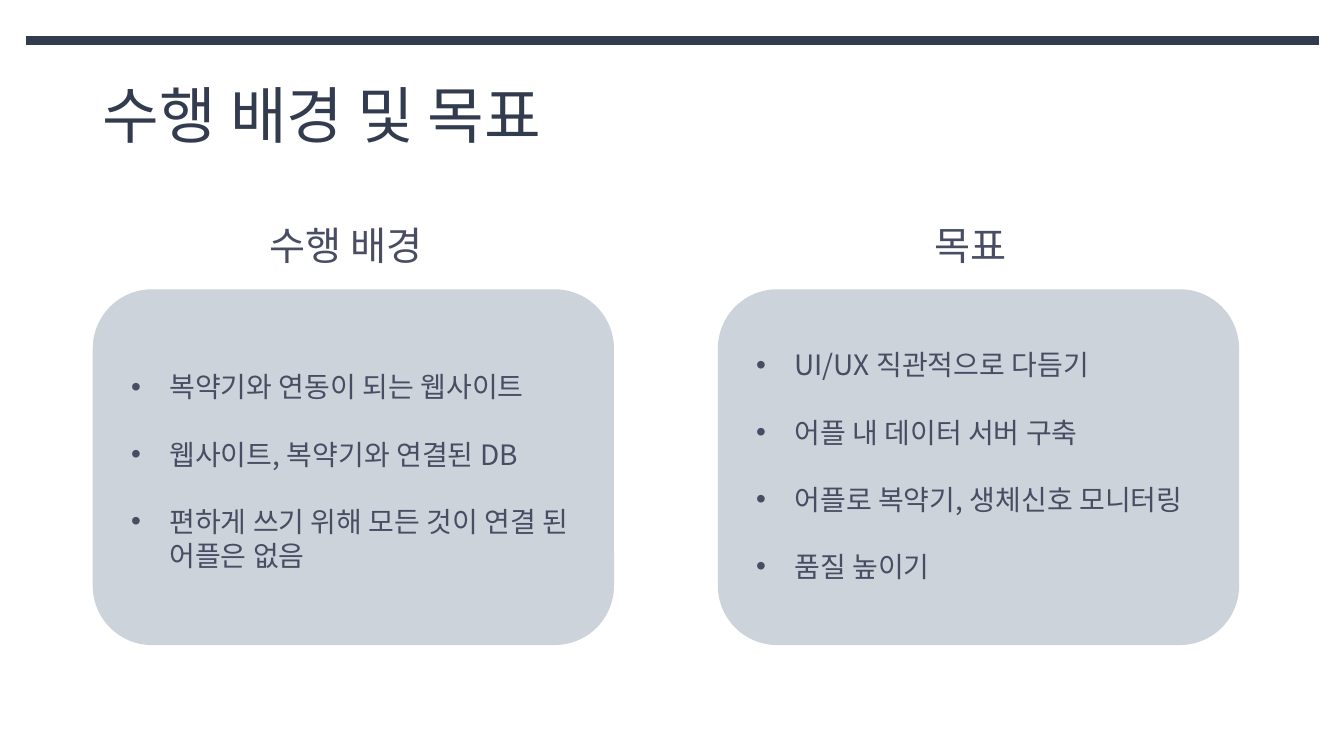
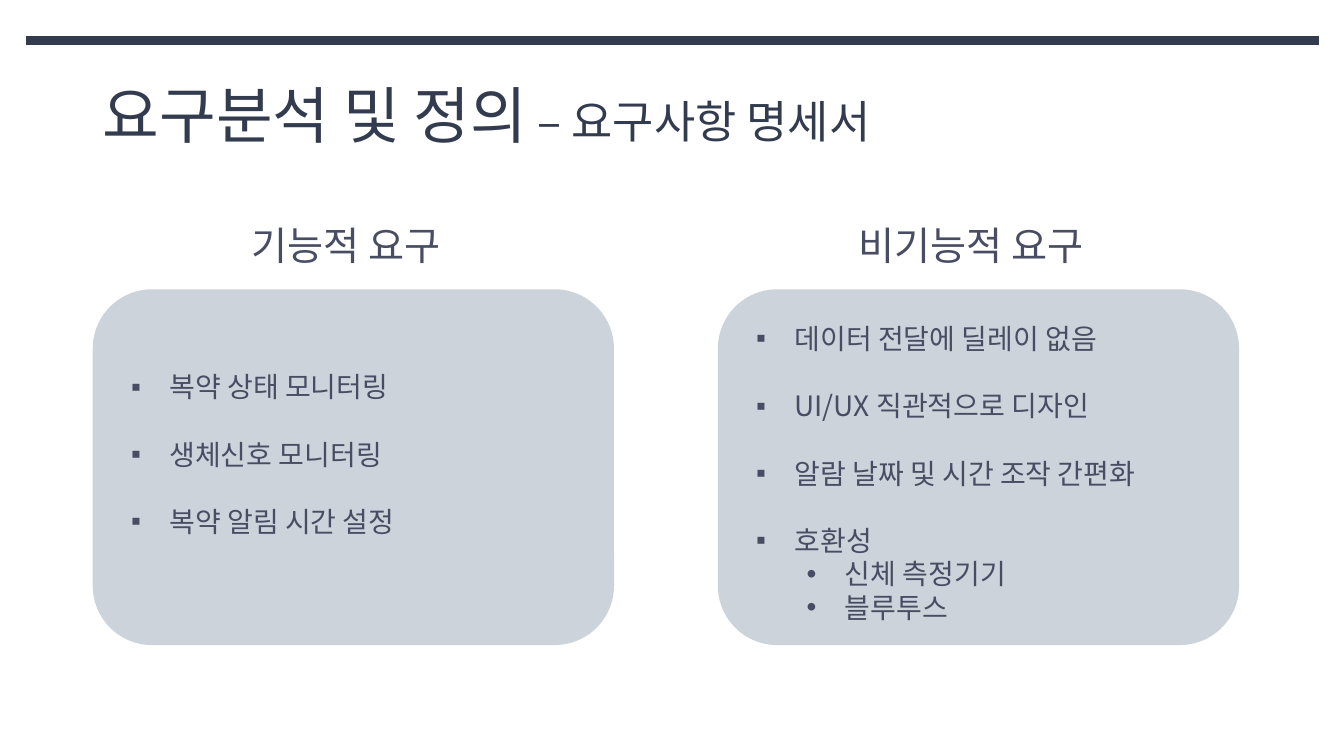
from dataclasses import dataclass

from lxml.etree import SubElement
from pptx import Presentation
from pptx.dml.color import RGBColor
from pptx.enum.shapes import MSO_CONNECTOR, MSO_SHAPE
from pptx.enum.text import MSO_ANCHOR, MSO_AUTO_SIZE, PP_ALIGN
from pptx.oxml.ns import qn
from pptx.util import Inches, Pt


@dataclass(frozen=True)
class Theme:
    """Colours, typeface and type sizes shared by every slide."""

    font: str = "Noto Sans CJK KR"
    dark: RGBColor = RGBColor(0x33, 0x3C, 0x4F)
    text: RGBColor = RGBColor(0x48, 0x4D, 0x64)
    card: RGBColor = RGBColor(0xCC, 0xD3, 0xDA)
    title: int = 44
    subtitle: int = 32
    heading: int = 28
    item: int = 20
    heading_line: int = 34
    item_line: int = 24
    bar: int = 6


@dataclass(frozen=True)
class Box:
    """A rectangle in inches."""

    left: float
    top: float
    width: float
    height: float

    def lengths(self):
        """Return the four values as slide lengths."""
        return [Inches(value) for value in (self.left, self.top, self.width, self.height)]


@dataclass(frozen=True)
class Column:
    """A heading and the list on the card below it."""

    heading: str
    items: tuple
    bullet: str
    list_top: float
    list_height: float
    subitems: tuple = ()


THEME = Theme()
TITLE_BOX = Box(0.92, 0.45, 11.5, 1.45)
COLUMN_BOXES = [Box(0.92 + 6.2 * index, 2.14, 5.17, 4.26) for index in range(2)]
COMPARISON_LAYOUT = 4

PAGES = [
    (
        [("수행 배경 및 목표", THEME.title)],
        [
            Column(
                "수행 배경",
                (
                    "복약기와 연동이 되는 웹사이트",
                    "웹사이트, 복약기와 연결된 DB",
                    "편하게 쓰기 위해 모든 것이 연결 된 어플은 없음",
                ),
                "•", 3.62, 2.46,
            ),
            Column(
                "목표",
                (
                    "UI/UX 직관적으로 다듬기",
                    "어플 내 데이터 서버 구축",
                    "어플로 복약기, 생체신호 모니터링",
                    "품질 높이기",
                ),
                "•", 3.4, 2.46,
            ),
        ],
    ),
    (
        [("요구분석 및 정의", THEME.title), (" – 요구사항 명세서", THEME.subtitle)],
        [
            Column(
                "기능적 요구",
                ("복약 상태 모니터링", "생체신호 모니터링", "복약 알림 시간 설정"),
                "▪", 3.62, 2.12,
            ),
            Column(
                "비기능적 요구",
                (
                    "데이터 전달에 딜레이 없음",
                    "UI/UX 직관적으로 디자인",
                    "알람 날짜 및 시간 조작 간편화",
                    "호환성",
                ),
                "▪", 3.14, 3.13,
                ("신체 측정기기", "블루투스"),
            ),
        ],
    ),
]


def add_span(para, text, size, color):
    """Add one formatted run to a paragraph."""
    span = para.add_run()
    span.text = text
    span.font.name = THEME.font
    SubElement(span.font._element, qn("a:ea"), typeface=THEME.font)
    span.font.size = Pt(size)
    span.font.bold = False
    span.font.color.rgb = color


def place(holder, box, anchor=MSO_ANCHOR.TOP):
    """Move a placeholder to a box and return its text frame."""
    holder.left, holder.top, holder.width, holder.height = box.lengths()
    frame = holder.text_frame
    frame.word_wrap = True
    frame.auto_size = MSO_AUTO_SIZE.NONE
    frame.vertical_anchor = anchor
    return frame


def add_bullet(para, mark, level):
    """Give a paragraph a hanging bullet at a list level."""
    para.level = level
    properties = para._p.get_or_add_pPr()
    properties.set("marL", str(Inches(0.38 + 0.5 * level)))
    properties.set("indent", str(Inches(-0.38)))
    SubElement(properties, qn("a:buFont"), typeface="Arial")
    SubElement(properties, qn("a:buChar"), char=mark)


def fill_title(page, spans):
    """Write the slide title."""
    para = place(page.shapes.title, TITLE_BOX, MSO_ANCHOR.MIDDLE).paragraphs[0]
    para.alignment = PP_ALIGN.LEFT
    para.line_spacing = 0.9
    for text, size in spans:
        add_span(para, text, size, THEME.dark)


def add_bar(page):
    """Draw the heavy line across the top."""
    bar = page.shapes.add_connector(
        MSO_CONNECTOR.STRAIGHT, Inches(0.26), Inches(0.4), Inches(13.08), Inches(0.4)
    )
    bar.line.color.rgb = THEME.dark
    bar.line.width = Pt(THEME.bar)
    SubElement(bar.element.spPr, qn("a:effectLst"))


def add_card(page, box):
    """Draw a rounded card behind the text placeholders."""
    card = page.shapes.add_shape(MSO_SHAPE.ROUNDED_RECTANGLE, *box.lengths())
    card.shadow.inherit = False
    card.fill.solid()
    card.fill.fore_color.rgb = THEME.card
    card.line.fill.background()
    page.shapes.title.element.addnext(card.element)


def fill_heading(holder, box, text):
    """Write a centred column heading."""
    para = place(holder, box).paragraphs[0]
    para.alignment = PP_ALIGN.CENTER
    para.line_spacing = Pt(THEME.heading_line)
    para.space_before = Pt(0)
    add_span(para, text, THEME.heading, THEME.text)


def fill_list(holder, box, column):
    """Write the bulleted items and any subitems of a column."""
    frame = place(holder, box)
    entries = [(text, 0) for text in column.items] + [(text, 1) for text in column.subitems]
    for index, (text, level) in enumerate(entries):
        para = frame.add_paragraph() if index else frame.paragraphs[0]
        add_bullet(para, "•" if level else column.bullet, level)
        para.line_spacing = Pt(THEME.item_line)
        para.space_before = Pt(THEME.item_line if index and not level else 0)
        add_span(para, text, THEME.item, THEME.text)


def add_column(page, box, column, heading, body):
    """Place a heading, card and list inside a column box."""
    add_card(page, Box(box.left, box.top + 0.73, box.width, box.height - 0.73))
    fill_heading(heading, Box(box.left + 0.55, box.top, 3.92, 0.57), column.heading)
    fill_list(body, Box(box.left + 0.28, column.list_top, 4.75, column.list_height), column)


def add_comparison(deck, title, columns):
    """Add a slide comparing two columns."""
    page = deck.slides.add_slide(deck.slide_layouts[COMPARISON_LAYOUT])
    fill_title(page, title)
    add_bar(page)
    holders = list(page.placeholders)[1:]
    for box, column, heading, body in zip(COLUMN_BOXES, columns, holders[::2], holders[1::2]):
        add_column(page, box, column, heading, body)


def main():
    """Build and save the deck."""
    deck = Presentation()
    deck.slide_width, deck.slide_height = Inches(13.33), Inches(7.5)
    for title, columns in PAGES:
        add_comparison(deck, title, columns)
    deck.save("out.pptx")


if __name__ == "__main__":
    main()
